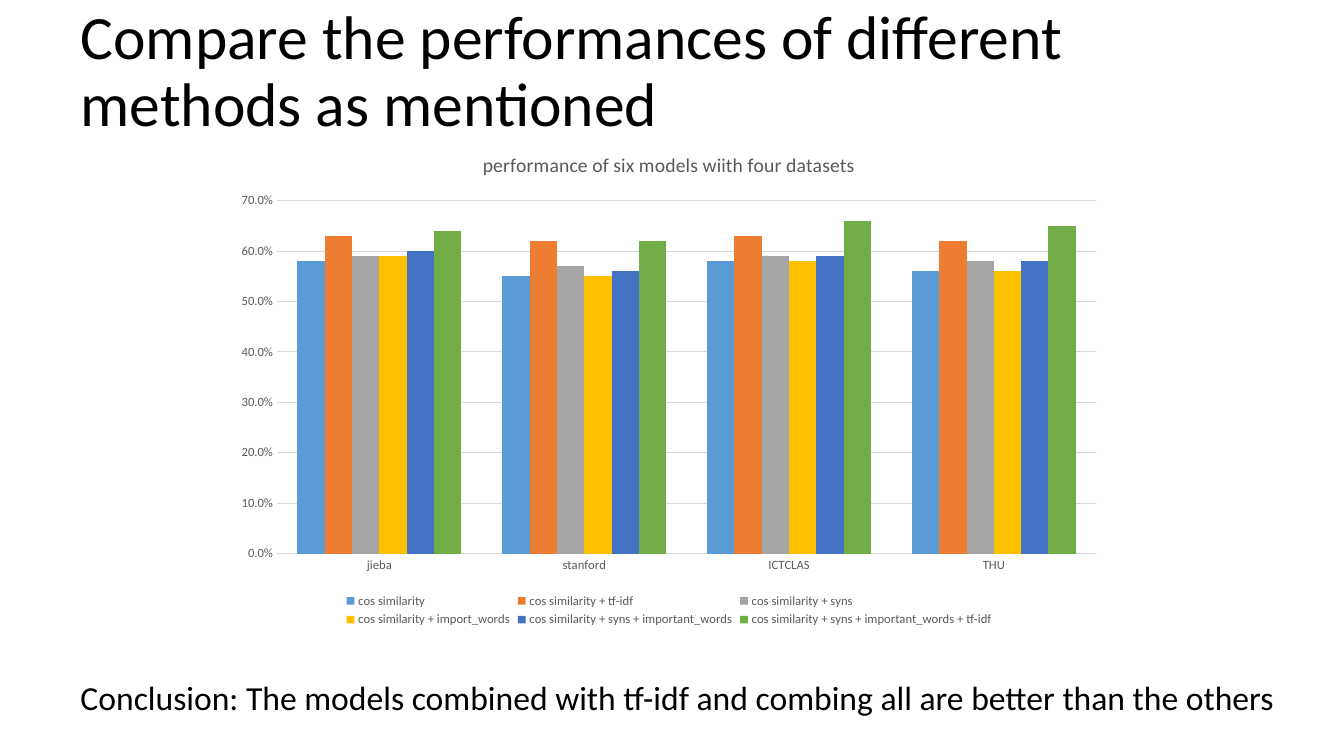
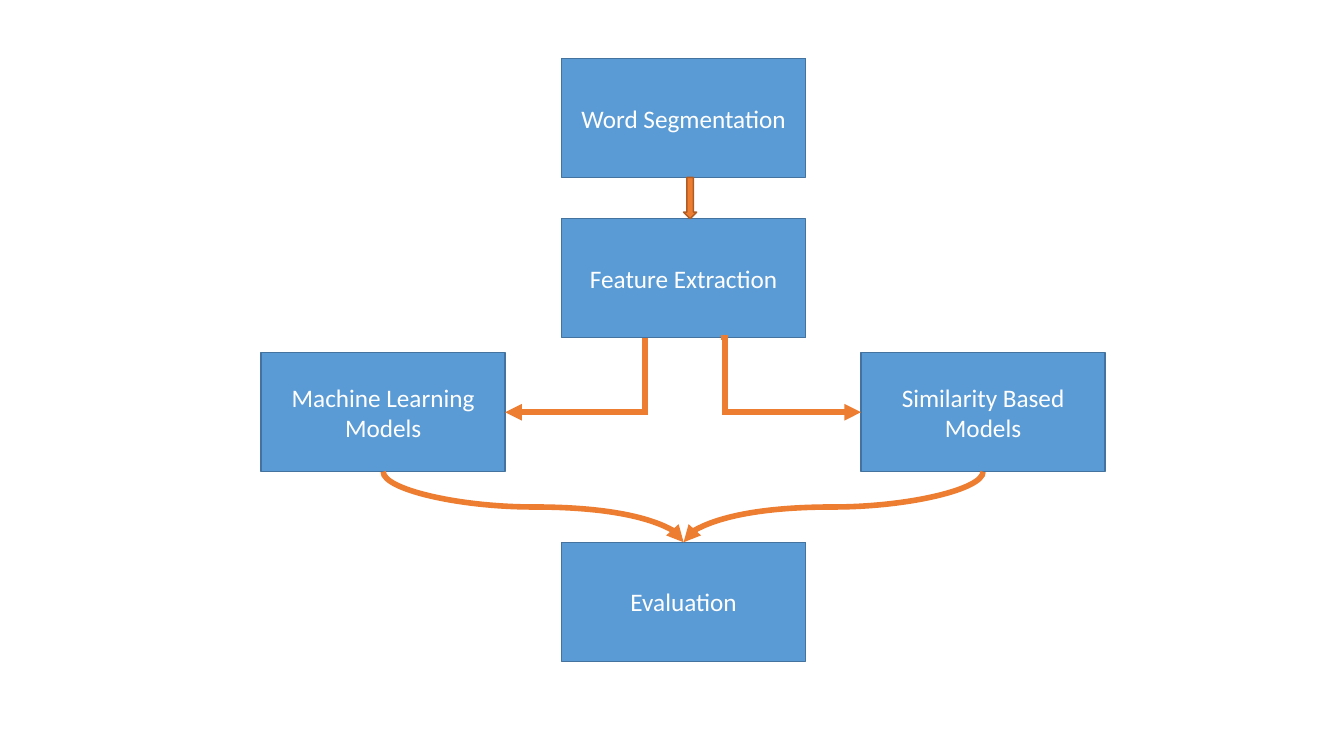
from lxml import etree
from pptx import Presentation
from pptx.chart.data import CategoryChartData
from pptx.dml.color import RGBColor
from pptx.enum.chart import XL_CHART_TYPE, XL_LEGEND_POSITION, XL_TICK_MARK
from pptx.enum.shapes import MSO_CONNECTOR, MSO_SHAPE
from pptx.enum.text import MSO_ANCHOR, MSO_AUTO_SIZE, PP_ALIGN
from pptx.oxml.ns import qn
from pptx.util import Inches, Pt

LEFT, CENTER = PP_ALIGN.LEFT, PP_ALIGN.CENTER
MIDDLE = MSO_ANCHOR.MIDDLE
PROCESS, DOWN_ARROW = MSO_SHAPE.FLOWCHART_PROCESS, MSO_SHAPE.DOWN_ARROW
ELBOW, CURVE = MSO_CONNECTOR.ELBOW, MSO_CONNECTOR.CURVE
NO_TICK = XL_TICK_MARK.NONE
CLUSTERED, BOTTOM = XL_CHART_TYPE.COLUMN_CLUSTERED, XL_LEGEND_POSITION.BOTTOM
FIXED_SIZE, GROW = MSO_AUTO_SIZE.NONE, MSO_AUTO_SIZE.SHAPE_TO_FIT_TEXT

# Content
TITLE = "Compare the performances of different methods as mentioned"
CONCLUSION = ("Conclusion: The models combined with tf-idf and combing all "
              "are better than the others")
CHART_TITLE = "performance of six models wiith four datasets"
DATASETS = ["jieba", "stanford", "ICTCLAS", "THU"]
MODELS = [
    ("cos similarity", "5B9BD5", (0.58, 0.55, 0.58, 0.56)),
    ("cos similarity + tf-idf", "ED7D31", (0.63, 0.62, 0.63, 0.62)),
    ("cos similarity + syns", "A5A5A5", (0.59, 0.57, 0.59, 0.58)),
    ("cos similarity + import_words", "FFC000", (0.59, 0.55, 0.58, 0.56)),
    ("cos similarity + syns + important_words", "4472C4",
     (0.6, 0.56, 0.59, 0.58)),
    ("cos similarity + syns + important_words + tf-idf", "70AD47",
     (0.64, 0.62, 0.66, 0.65)),
]

# Flow chart columns and rows
LEFT_COLUMN, MIDDLE_COLUMN, RIGHT_COLUMN = 2.59, 5.57, 8.54
SEGMENT_TOP, FEATURE_TOP, MODEL_TOP, EVALUATION_TOP = 0.58, 2.17, 3.5, 5.38
BOX_WIDTH, BOX_HEIGHT = 2.42, 1.18
STEPS = [
    ("Word Segmentation", MIDDLE_COLUMN, SEGMENT_TOP),
    ("Feature Extraction", MIDDLE_COLUMN, FEATURE_TOP),
    ("Machine Learning\nModels", LEFT_COLUMN, MODEL_TOP),
    ("Similarity Based Models", RIGHT_COLUMN, MODEL_TOP),
    ("Evaluation", MIDDLE_COLUMN, EVALUATION_TOP),
]

# Shared style
FONT = "Calibri"
BLACK, WHITE, GRAY, GRID = "000000", "FFFFFF", "595959", "D9D9D9"
BLUE, BLUE_EDGE, ORANGE, ORANGE_EDGE = "5B9BD5", "43739E", "ED7D31", "AF5C24"


def color(value):
    return RGBColor.from_string(value)


def style_font(font, size, fill=GRAY):
    font.name, font.size, font.bold = FONT, Pt(size), False
    font.color.rgb = color(fill)


def write(frame, text, size, fill=BLACK, align=LEFT, anchor=None, spacing=None):
    frame.word_wrap = True
    if anchor is not None:
        frame.vertical_anchor = anchor
    for index, line in enumerate(text.split("\n")):
        paragraph = frame.add_paragraph() if index else frame.paragraphs[0]
        paragraph.alignment = align
        if spacing:
            paragraph.line_spacing = spacing
        run = paragraph.add_run()
        run.text = line
        style_font(run.font, size, fill)


def place(shape, left, top, width, height):
    shape.left, shape.top = Inches(left), Inches(top)
    shape.width, shape.height = Inches(width), Inches(height)


def add_block(slide, kind, left, top, width, height, fill, edge):
    shape = slide.shapes.add_shape(kind, Inches(left), Inches(top),
                                   Inches(width), Inches(height))
    shape.shadow.inherit = False
    shape.fill.solid()
    shape.fill.fore_color.rgb = color(fill)
    shape.line.color.rgb = color(edge)
    shape.line.width = Pt(1)
    return shape


def add_arrow(slide, kind, start, end, rotation=0, bend=None):
    connector = slide.shapes.add_connector(
        kind, *(Inches(length) for length in (*start, *end)))
    connector.line.color.rgb = color(ORANGE)
    connector.line.width = Pt(4)
    properties = connector._element.spPr
    if rotation:
        properties.find(qn("a:xfrm")).set("rot", str(rotation * 60000))
    if bend is not None:
        adjustments = properties.find(qn("a:prstGeom")).get_or_add_avLst()
        etree.SubElement(adjustments, qn("a:gd"), name="adj1",
                         fmla=f"val {round(bend * 100000)}")
    line = properties.find(qn("a:ln"))
    etree.SubElement(line, qn("a:miter"), lim="800000")
    etree.SubElement(line, qn("a:tailEnd"), type="triangle")
    etree.SubElement(properties, qn("a:effectLst"))


def add_falling_curve(slide, start, end):
    """Curve that leaves and arrives vertically: a frame on its side."""
    center_x, center_y = (start[0] + end[0]) / 2, (start[1] + end[1]) / 2
    half_run, half_drop = abs(end[0] - start[0]) / 2, (end[1] - start[1]) / 2
    leftward = end[0] < start[0]
    side = half_drop if leftward else -half_drop
    add_arrow(slide, CURVE, (center_x - side, center_y - half_run),
              (center_x + side, center_y + half_run),
              rotation=90 if leftward else 270)


def add_performance_chart(slide):
    data = CategoryChartData(number_format="0.0%")
    data.categories = DATASETS
    for name, _, values in MODELS:
        data.add_series(name, values)
    chart = slide.shapes.add_chart(CLUSTERED, Inches(2.22), Inches(1.31),
                                   Inches(8.83), Inches(4.95), data).chart
    style_font(chart.font, 10, BLACK)
    chart.has_title = True
    write(chart.chart_title.text_frame, CHART_TITLE, 14, GRAY, CENTER)
    chart.chart_title.include_in_layout = False

    plot = chart.plots[0]
    plot.gap_width, plot.overlap, plot.vary_by_categories = 150, 0, False
    for series, (_, fill, _) in zip(plot.series, MODELS):
        series.format.fill.solid()
        series.format.fill.fore_color.rgb = color(fill)

    for axis in (chart.category_axis, chart.value_axis):
        axis.major_tick_mark = axis.minor_tick_mark = NO_TICK
        axis.format.line.fill.background()
        style_font(axis.tick_labels.font, 9)
    values_axis = chart.value_axis
    values_axis.minimum_scale, values_axis.maximum_scale = 0, 0.7
    values_axis.major_unit = 0.1
    values_axis.tick_labels.number_format = "0.0%"
    values_axis.tick_labels.number_format_is_linked = False
    values_axis.major_gridlines.format.line.color.rgb = color(GRID)
    values_axis.major_gridlines.format.line.width = Pt(0.75)

    chart.has_legend = True
    chart.legend.position = BOTTOM
    chart.legend.include_in_layout = False
    style_font(chart.legend.font, 9)


presentation = Presentation()
presentation.slide_width, presentation.slide_height = Inches(13.33), Inches(7.5)
TITLE_ONLY, BLANK = presentation.slide_layouts[5], presentation.slide_layouts[6]

# Slide 1: performance comparison
slide = presentation.slides.add_slide(TITLE_ONLY)
title = slide.shapes.title
place(title, 0.7, 0, 11.5, 1.45)
write(title.text_frame, TITLE, 44, anchor=MIDDLE, spacing=0.9)
title.text_frame.auto_size = FIXED_SIZE
add_performance_chart(slide)
conclusion = slide.shapes.add_textbox(Inches(0.7), Inches(6.67),
                                      Inches(12.27), Inches(0.5))
write(conclusion.text_frame, CONCLUSION, 24)
conclusion.text_frame.auto_size = GROW

# Slide 2: processing flow
slide = presentation.slides.add_slide(BLANK)
for label, left, top in STEPS:
    box = add_block(slide, PROCESS, left, top, BOX_WIDTH, BOX_HEIGHT,
                    BLUE, BLUE_EDGE)
    write(box.text_frame, label, 18, WHITE, CENTER, MIDDLE)

segment_bottom = SEGMENT_TOP + BOX_HEIGHT
add_block(slide, DOWN_ARROW, 6.78, segment_bottom, 0.13,
          FEATURE_TOP - segment_bottom, ORANGE, ORANGE_EDGE)

feature_bottom = FEATURE_TOP + BOX_HEIGHT
model_middle = MODEL_TOP + BOX_HEIGHT / 2
add_arrow(slide, ELBOW, (6.4, feature_bottom),
          (LEFT_COLUMN + BOX_WIDTH, model_middle), bend=0)
add_arrow(slide, ELBOW, (7.15, feature_bottom),
          (RIGHT_COLUMN, model_middle), bend=0.03)

half_box = BOX_WIDTH / 2
for column in (LEFT_COLUMN, RIGHT_COLUMN):
    add_falling_curve(slide, (column + half_box, MODEL_TOP + BOX_HEIGHT),
                      (MIDDLE_COLUMN + half_box, EVALUATION_TOP))

presentation.save("out.pptx")
